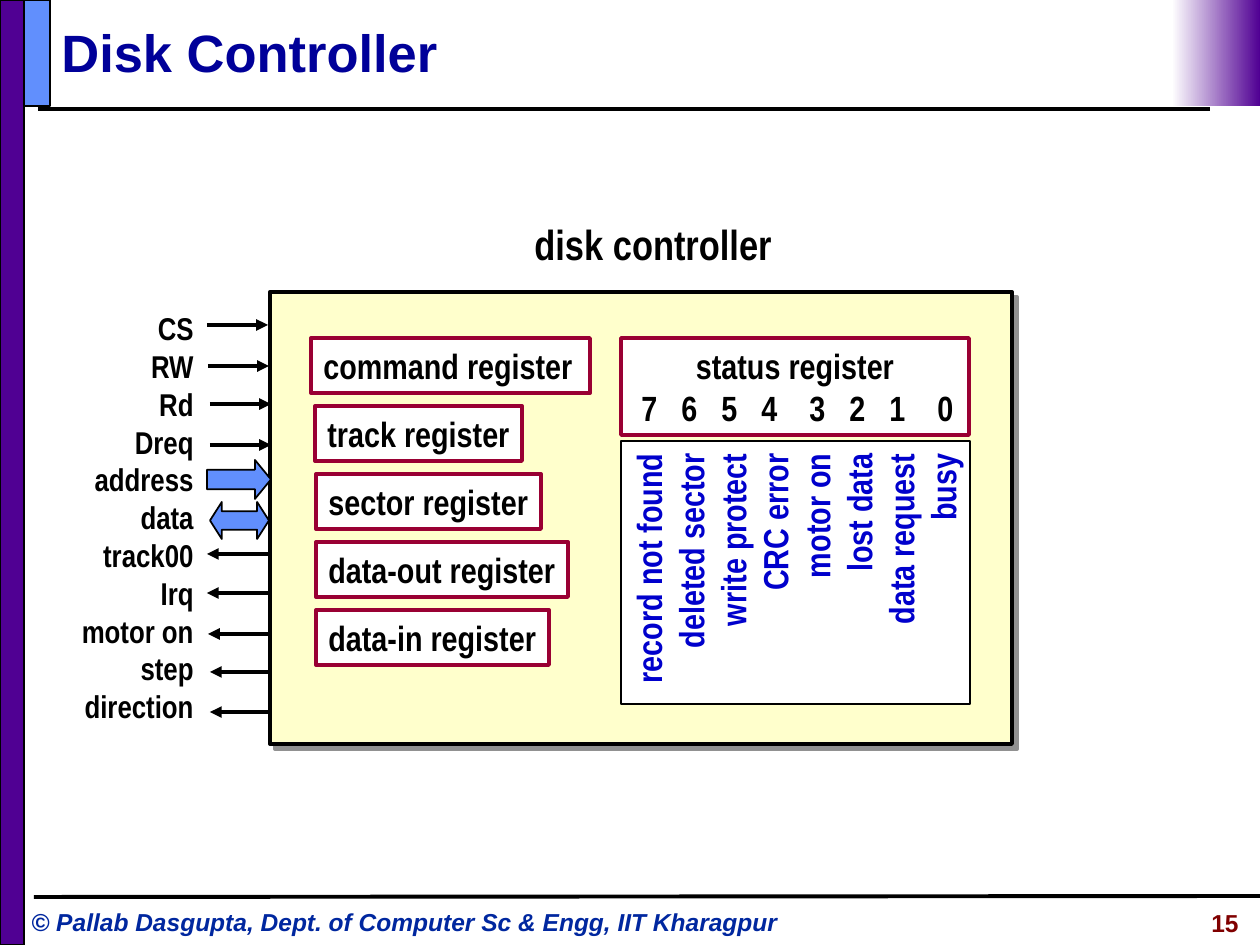
from lxml import etree
from pptx import Presentation
from pptx.dml.color import RGBColor
from pptx.enum.shapes import MSO_CONNECTOR, MSO_SHAPE
from pptx.enum.text import MSO_ANCHOR, PP_ALIGN
from pptx.oxml import parse_xml
from pptx.oxml.ns import nsdecls, qn
from pptx.util import Pt

RECT, RIGHT_ARROW, BOTH_ARROW = MSO_SHAPE.RECTANGLE, MSO_SHAPE.RIGHT_ARROW, MSO_SHAPE.LEFT_RIGHT_ARROW
LEFT, CENTER, RIGHT = PP_ALIGN.LEFT, PP_ALIGN.CENTER, PP_ALIGN.RIGHT
EMU_PER_PX = 914400 / 126
NARROW = "Arial Narrow"
BLACK, WHITE, PURPLE, BLUE, CRIMSON = "000000", "FFFFFF", "500093", "618FFD", "990033"

TITLE = "Disk Controller"
CAPTION = "disk controller"
FOOTER = "© Pallab Dasgupta, Dept. of Computer Sc & Engg, IIT Kharagpur"
PAGE_NUMBER = "15"

SIGNALS = ["CS", "RW", "Rd", "Dreq", "address", "data", "track00", "Irq",
           "motor on", "step", "direction"]
# Left end and height of each signal arrow
INPUT_ARROWS = [(207, 325), (208, 366), (210, 404), (210, 445)]
OUTPUT_ARROWS = [(207, 554), (207, 593), (208, 634), (210, 672), (210, 712)]
ARROW_LENGTH = 61

# Name, left, width
REGISTERS = [("command register", 311, 279), ("track register", 315, 207),
             ("sector register", 316, 225), ("data-out register", 316, 252),
             ("data-in register", 316, 233)]
REGISTER_TOP, REGISTER_PITCH, REGISTER_HEIGHT = 338, 68, 55

# Bit number, meaning, centre of the number from the text edge
STATUS_BITS = [("7", "record not found", 16), ("6", "deleted sector", 56),
               ("5", "write protect", 96), ("4", "CRC error", 136),
               ("3", "motor on", 184), ("2", "lost data", 224),
               ("1", "data request", 264), ("0", "busy", 312)]


def px(value):
    return round(value * EMU_PER_PX)


def color(value):
    return RGBColor.from_string(value)


def add_box(page, bounds, fill, line=None, width=1, kind=RECT):
    box = page.shapes.add_shape(kind, *map(px, bounds))
    box.shadow.inherit = False
    box.fill.solid()
    box.fill.fore_color.rgb = color(fill)
    if line:
        box.line.color.rgb = color(line)
        box.line.width = Pt(width)
    else:
        box.line.fill.background()
    return box


def write(box, lines, size, ink=BLACK, font=NARROW, align=LEFT, wrap=True,
          anchor=MSO_ANCHOR.TOP, italic=False):
    frame = box.text_frame
    frame.word_wrap = wrap
    frame.vertical_anchor = anchor
    frame.text = "\n".join(lines)
    for para in frame.paragraphs:
        para.alignment = align
        for span in para.runs:
            span.font.name = font
            span.font.size = Pt(size)
            span.font.bold = True
            span.font.italic = italic
            span.font.color.rgb = color(ink)


def add_text(page, bounds, lines, size, **style):
    write(page.shapes.add_textbox(*map(px, bounds)), lines, size, **style)


def add_line(page, start, end, arrow_end=None):
    """Draw a line; arrow_end is 'headEnd' (start), 'tailEnd' (end) or None."""
    line = page.shapes.add_connector(MSO_CONNECTOR.STRAIGHT, *map(px, start + end))
    line.line.color.rgb = color(BLACK)
    line.line.width = Pt(2.25)
    if arrow_end:
        etree.SubElement(line.line._get_or_add_ln(), qn("a:" + arrow_end), type="triangle")
    etree.SubElement(line._element.spPr, qn("a:effectLst"))


def add_hard_shadow(box):
    box._element.spPr.find(qn("a:effectLst")).append(parse_xml(
        f'<a:outerShdw {nsdecls("a")} dist="53340" dir="2700000" algn="ctr">'
        '<a:srgbClr val="919191"/></a:outerShdw>'))


def set_center_tabs(para, positions):
    tabs = etree.SubElement(para._p.get_or_add_pPr(), qn("a:tabLst"))
    for position in positions:
        etree.SubElement(tabs, qn("a:tab"), pos=str(px(position)), algn="ctr")


def add_frame(page):
    add_line(page, (38, 109), (1210, 109))
    add_text(page, (19, 901, 803, 43), [FOOTER], 14, ink="00279F", font="Arial", italic=True)
    add_box(page, (0, 0, 24, 945), PURPLE, BLACK)
    add_line(page, (34, 897), (1260, 896))
    add_box(page, (24, 0, 26, 106), BLUE, BLACK)
    corner = add_box(page, (1172, 0, 88, 106), PURPLE)
    corner.fill.gradient()
    corner.fill.gradient_angle = 180
    for stop, shade in zip(corner.fill.gradient_stops, (PURPLE, WHITE)):
        stop.color.rgb = color(shade)
    add_text(page, (49, 13, 1147, 77), [TITLE], 30, ink="000099", font="Arial",
             anchor=MSO_ANCHOR.MIDDLE)
    add_text(page, (1031, 902, 220, 44), [PAGE_NUMBER], 14, ink="800000",
             font="Arial", align=RIGHT)


def add_registers(page):
    for row, (name, left, width) in enumerate(REGISTERS):
        top = REGISTER_TOP + row * REGISTER_PITCH
        box = add_box(page, (left, top, width, REGISTER_HEIGHT), WHITE, CRIMSON, 2.25)
        write(box, [name], 20, wrap=False)


def add_status_register(page):
    numbers, meanings, centers = zip(*STATUS_BITS)
    legend = add_box(page, (664, 398, 263, 349), WHITE, BLACK)
    legend.rotation = 270
    write(legend, meanings, 20, ink="0000CC", align=RIGHT)
    status = add_box(page, (621, 338, 348, 97), WHITE, CRIMSON, 2.25)
    write(status, ["status register", "\t" + "\t".join(numbers)], 20, align=CENTER)
    bits = status.text_frame.paragraphs[1]
    bits.alignment = LEFT
    set_center_tabs(bits, centers)


def add_signals(page):
    add_text(page, (62, 303, 144, 428), SIGNALS, 18, align=RIGHT)
    for arrows, arrow_end in ((INPUT_ARROWS, "tailEnd"), (OUTPUT_ARROWS, "headEnd")):
        for left, y in arrows:
            add_line(page, (left, y), (left + ARROW_LENGTH, y), arrow_end)
    for kind, bounds, head in ((RIGHT_ARROW, (207, 460, 64, 39), 0.41),
                               (BOTH_ARROW, (210, 502, 59, 37), 0.32)):
        arrow = add_box(page, bounds, BLUE, BLACK, kind=kind)
        arrow.adjustments[1] = head


def main():
    deck = Presentation()
    deck.slide_width, deck.slide_height = px(1260), px(945)
    page = deck.slides.add_slide(deck.slide_layouts[6])
    add_frame(page)
    controller = add_box(page, (270, 292, 742, 452), "FFFFCC", BLACK, 2.25)
    add_hard_shadow(controller)
    add_registers(page)
    add_status_register(page)
    add_signals(page)
    add_text(page, (522, 212, 263, 63), [CAPTION], 24, wrap=False)
    deck.save("out.pptx")


if __name__ == "__main__":
    main()
